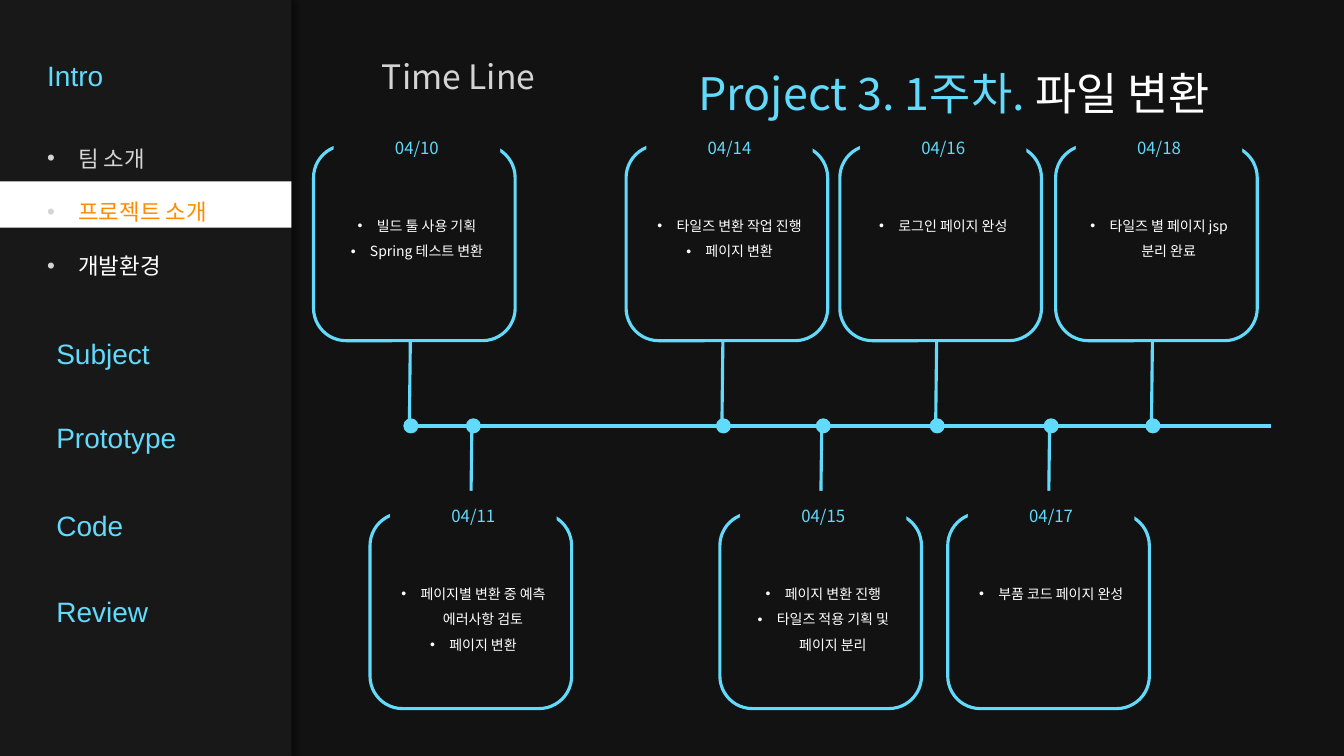
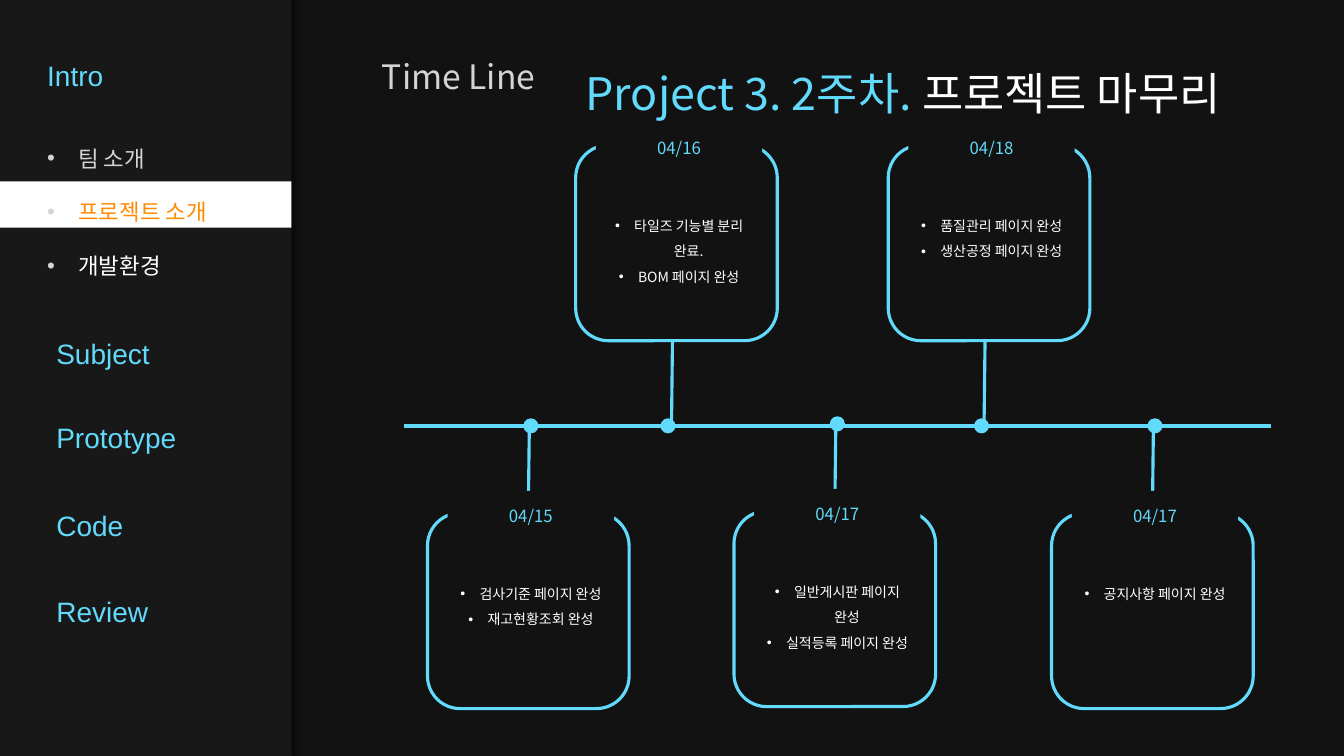
from dataclasses import dataclass

from lxml import etree
from pptx import Presentation
from pptx import util as u
from pptx.dml.color import RGBColor
from pptx.enum import shapes, text
from pptx.oxml import ns

HUES = {
    "back": "121212", "side": "181818", "cyan": "61DAFB", "white": "FFFFFF",
    "grey": "D4D4D4", "orange": "FF8C00", "black": "000000",
}
SANS, CJK = "Arial", "Noto Sans CJK KR"
KIND = shapes.MSO_SHAPE
AXIS = 4.23
DOT = 0.15
RING_W, RING_H = 2, 1.94


@dataclass
class Card:
    x: float
    date: str
    items: list[str]
    low: bool = False
    dot: float = 0.89  # dot offset from the ring's left side
    lift: float = 0


@dataclass
class Page:
    left: float  # title position
    lead: str
    topic: str
    cards: list[Card]


MENU = [("Intro", 0.37, 0.34), ("Subject", 0.46, 3.1), ("Prototype", 0.46, 3.93),
        ("Code", 0.46, 4.8), ("Review", 0.46, 5.66)]
LINKS = [("팀 소개", "grey"), ("프로젝트 소개", "orange"), ("개발환경", "white")]

PAGES = [
    Page(6.83, "Project 3. 1주차. ", "파일 변환", [
        Card(3.11, "04/10", ["빌드 툴 사용 기획", "Spring 테스트 변환"]),
        Card(3.67, "04/11", ["페이지별 변환 중 예측 에러사항 검토", "페이지 변환"],
             low=True, dot=0.95),
        Card(6.21, "04/14", ["타일즈 변환 작업 진행", "페이지 변환"]),
        Card(7.14, "04/15", ["페이지 변환 진행", "타일즈 적용 기획 및 페이지 분리"],
             low=True, dot=0.95),
        Card(8.33, "04/16", ["로그인 페이지 완성"]),
        Card(9.4, "04/17", ["부품 코드 페이지 완성"], low=True, dot=0.95),
        Card(10.47, "04/18", ["타일즈 별 페이지 jsp 분리 완료"]),
    ]),
    Page(5.71, "Project 3. 2주차.", " 프로젝트 마무리", [
        Card(4.24, "04/15", ["검사기준 페이지 완성", "재고현황조회 완성"],
             low=True, dot=0.95),
        Card(5.71, "04/16", ["타일즈 기능별 분리 완료.", "BOM 페이지 완성"], dot=0.84),
        Card(7.28, "04/17", ["일반게시판 페이지 완성", "실적등록 페이지 완성"],
             low=True, dot=0.95, lift=0.02),
        Card(8.81, "04/18", ["품질관리 페이지 완성", "생산공정 페이지 완성"], dot=0.85),
        Card(10.43, "04/17", ["공지사항 페이지 완성"], low=True, dot=0.95),
    ]),
]


def rgb(name: str) -> RGBColor:
    return RGBColor.from_string(HUES[name])


def add_tag(node, tag: str, **attrs: str):
    return etree.SubElement(node, ns.qn(tag), attrs)


def draw(slide, kind, x: float, y: float, w: float, h: float,
         fill: str = "", line: str = ""):
    shape = slide.shapes.add_shape(kind, *map(u.Inches, (x, y, w, h)))
    shape.shadow.inherit = False
    if fill:
        shape.fill.solid()
        shape.fill.fore_color.rgb = rgb(fill)
    else:
        shape.fill.background()
    if line:
        shape.line.color.rgb = rgb(line)
        shape.line.width = u.Pt(2.25)
    else:
        shape.line.fill.background()
    return shape


def link(slide, x1: float, y1: float, x2: float, y2: float, width: float) -> None:
    line = slide.shapes.add_connector(
        shapes.MSO_CONNECTOR.STRAIGHT, *map(u.Inches, (x1, y1, x2, y2)))
    line.line.color.rgb = rgb("cyan")
    line.line.width = u.Pt(width)
    add_tag(line._element.spPr, "a:effectLst")


def box(slide, x: float, y: float, w: float, h: float, mid: bool = False):
    frame = slide.shapes.add_textbox(*map(u.Inches, (x, y, w, h))).text_frame
    frame.word_wrap = True
    if mid:
        frame.vertical_anchor = text.MSO_ANCHOR.MIDDLE
    return frame


def write(frame, words: str, *, size: float, color: str, font: str = CJK,
          space: float = 0.9, before: float = 0, center: bool = False,
          bullet: str = "", indent: float = 0, join: bool = False) -> None:
    """Add a paragraph, or with join a run in the last paragraph."""
    para = frame.paragraphs[-1]
    if not join:
        if para.runs:
            para = frame.add_paragraph()
        para.line_spacing = space
        para.alignment = text.PP_ALIGN.CENTER if center else text.PP_ALIGN.LEFT
        if before:
            para.space_before = u.Pt(before)
        if bullet:
            props = para._p.get_or_add_pPr()
            props.set("marL", str(u.Inches(indent)))
            props.set("indent", str(-u.Inches(indent)))
            add_tag(add_tag(props, "a:buClr"), "a:srgbClr", val=HUES[bullet])
            add_tag(props, "a:buFont", typeface=SANS)
            add_tag(props, "a:buChar", char="•")
    run = para.add_run()
    run.text = words
    run.font.size = u.Pt(size)
    run.font.name = font
    run.font.color.rgb = rgb(color)
    add_tag(run.font._element, "a:ea", typeface=CJK)


def draw_side(slide) -> None:
    panel = draw(slide, KIND.RECTANGLE, 0, 0, 2.89, 7.5, fill="side")
    glow = add_tag(panel._element.spPr.find(ns.qn("a:effectLst")), "a:outerShdw",
                   blurRad=str(u.Pt(4)), dist=str(u.Pt(3)), dir="0",
                   algn="l", rotWithShape="0")
    add_tag(add_tag(glow, "a:srgbClr", val=HUES["black"]), "a:alpha", val="40000")

    # Menu with the current entry marked
    for name, x, y in MENU:
        write(box(slide, x, y, 2.15, 0.86, mid=True), name,
              size=20, color="cyan", font=SANS)
    draw(slide, KIND.RECTANGLE, 0, 1.8, 2.89, 0.46, fill="white")
    frame = box(slide, 0.37, 0.96, 2.15, 2.02, mid=True)
    for name, color in LINKS:
        write(frame, name, size=16, color=color, font=SANS, space=2,
              bullet="grey", indent=0.31)


def draw_card(slide, card: Card) -> None:
    top = (5.09 if card.low else 1.44) - card.lift
    draw(slide, KIND.OVAL, card.x + card.dot, AXIS - 0.08 - card.lift,
         DOT, DOT, fill="cyan")
    draw(slide, KIND.ROUNDED_RECTANGLE, card.x, top, RING_W, RING_H, line="cyan")

    # Stem between axis and card
    if card.low:
        link(slide, card.x + 1.01, AXIS - card.lift,
             card.x + 1, top - 0.02, 2.25)
    else:
        link(slide, card.x + 0.96, top + RING_H, card.x + 0.95, AXIS, 2.25)

    # Text panel that opens the ring at its top
    frame = draw(slide, KIND.RECTANGLE, card.x + 0.2, top - 0.22,
                 1.65, 2.07, fill="back").text_frame
    frame.word_wrap = True
    frame.vertical_anchor = text.MSO_ANCHOR.TOP
    write(frame, card.date, size=12, color="cyan", space=1.5, center=True)
    for i, item in enumerate(card.items):
        write(frame, item, size=10, color="white", space=1.5, center=True,
              before=0 if i else 36.5, bullet="white", indent=0.19)


def draw_page(deck, page: Page) -> None:
    slide = deck.slides.add_slide(deck.slide_layouts[6])
    slide.background.fill.solid()
    slide.background.fill.fore_color.rgb = rgb("back")
    draw_side(slide)

    # Headings
    write(box(slide, 3.69, 0.55, 3.76, 0.44), "Time Line", size=24, color="grey")
    title = box(slide, page.left, 0.66, 12.75 - page.left, 0.64)
    write(title, page.lead, size=32, color="cyan")
    write(title, page.topic, size=32, color="white", join=True)

    # Timeline
    link(slide, 4.01, AXIS, 12.61, AXIS, 3)
    for card in page.cards:
        draw_card(slide, card)


def main() -> None:
    deck = Presentation()
    deck.slide_width, deck.slide_height = u.Inches(13.33), u.Inches(7.5)
    for page in PAGES:
        draw_page(deck, page)
    deck.save("out.pptx")


if __name__ == "__main__":
    main()
